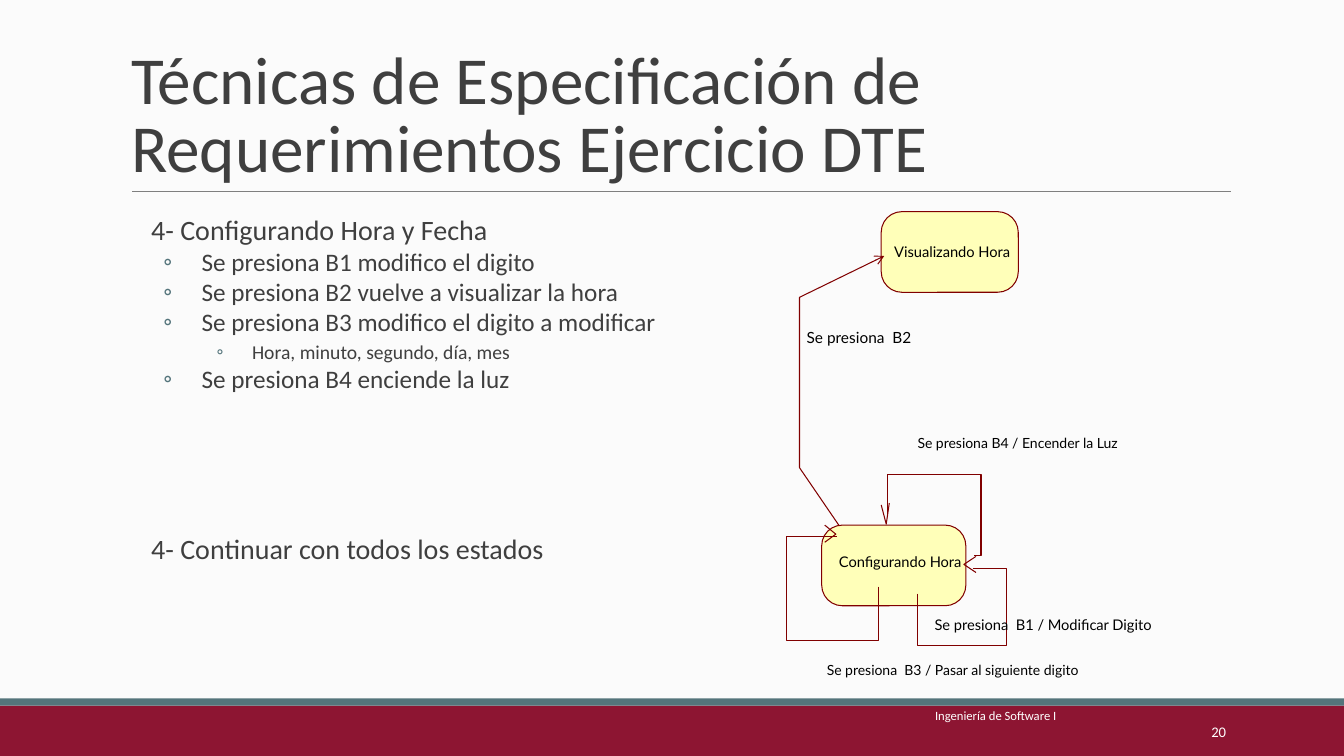
from dataclasses import dataclass

from lxml import etree
from pptx import Presentation
from pptx.dml.color import RGBColor
from pptx.enum.shapes import MSO_SHAPE, MSO_CONNECTOR
from pptx.enum.text import MSO_ANCHOR, MSO_AUTO_SIZE, PP_ALIGN
from pptx.oxml.ns import qn
from pptx.util import Inches, Pt

RECT, ROUNDED = MSO_SHAPE.RECTANGLE, MSO_SHAPE.ROUNDED_RECTANGLE
STRAIGHT = MSO_CONNECTOR.STRAIGHT
TOP, MIDDLE, BOTTOM = MSO_ANCHOR.TOP, MSO_ANCHOR.MIDDLE, MSO_ANCHOR.BOTTOM
LEFT, CENTER, RIGHT = PP_ALIGN.LEFT, PP_ALIGN.CENTER, PP_ALIGN.RIGHT
NO_FIT = MSO_AUTO_SIZE.NONE


@dataclass(frozen=True)
class Theme:
    background: str = "FBFBFB"
    band: str = "8D1532"
    accent: str = "54747B"
    rule: str = "7F7F7F"
    text: str = "3F3F3F"
    light: str = "FFFFFF"
    dark: str = "000000"
    state_fill: str = "FFFFB9"
    state_line: str = "800000"
    font: str = "Calibri"
    diagram_font: str = "Lato"
    title_size: float = 48
    body_sizes: tuple = (20, 18, 14)
    state_size: float = 10.5
    footer_size: float = 9
    number_size: float = 10.5
    line_width: float = 0.75


THEME = Theme()

# Text, level, space before in points
BODY = [
    ("4- Configurando Hora y Fecha", 0, 0),
    ("Se presiona B1 modifico el digito", 1, 2),
    ("Se presiona B2 vuelve a visualizar la hora", 1, 2),
    ("Se presiona B3 modifico el digito a modificar", 1, 2),
    ("Hora, minuto, segundo, día, mes", 2, 4),
    ("Se presiona B4 enciende la luz", 1, 2),
    ("4- Continuar con todos los estados", 0, 101),
]
HANGING = (0, 0.38, 0.35)

# Text, box, left and bottom insets
STATES = [
    ("Configurando Hora", (8.15, 5.21, 1.43, 0.8), (0.13, 0.08)),
    ("Visualizando Hora", (8.74, 2.1, 1.36, 0.8), (0.05, 0)),
]

# Text, box, size
LABELS = [
    ("Se presiona B4 / Encender la Luz", (9.1, 4.31, 2.05, 0.17), 10),
    ("Se presiona  B2", (8, 3.26, 1.11, 0.19), 11),
    ("Se presiona  B1 / Modificar Digito", (9.27, 6.11, 2.17, 0.18), 10.5),
    ("Se presiona  B3 / Pasar al siguiente digito", (8.2, 6.56, 2.58, 0.17), 10),
]

B2_TRANSITION = [(8.32, 5.21), (7.93, 4.64), (7.93, 2.95), (8.77, 2.54)]
LOOPS = [
    [(8.8, 5.12), (8.8, 4.71), (9.73, 4.71), (9.73, 5.51), (9.66, 5.51)],
    [(8.71, 5.82), (8.71, 6.35), (7.8, 6.35), (7.8, 5.32), (8.3, 5.32)],
    [(9.1, 5.89), (9.1, 6.4), (9.98, 6.4), (9.98, 5.64), (9.65, 5.64)],
]
LOOP_HEADS = [
    [(8.74, 5.01), (8.79, 5.2), (8.82, 4.99)],
    [(8.18, 5.38), (8.29, 5.3), (8.18, 5.21)],
    [(9.68, 5.52), (9.56, 5.6), (9.68, 5.68)],
]


def color(value):
    return RGBColor.from_string(value)


def inches(values):
    return [Inches(value) for value in values]


def set_frame(frame, anchor=TOP, insets=(0, 0, 0, 0), wrap=True):
    frame.auto_size = NO_FIT
    frame.word_wrap = wrap
    frame.vertical_anchor = anchor
    (frame.margin_left, frame.margin_top,
     frame.margin_right, frame.margin_bottom) = inches(insets)


def add_run(para, text, size, ink, font=THEME.font):
    span = para.add_run()
    span.text = text
    span.font.size = Pt(size)
    span.font.name = font
    span.font.color.rgb = color(ink)


def set_line(shape, ink):
    shape.line.color.rgb = color(ink)
    shape.line.width = Pt(THEME.line_width)


def add_block(page, kind, box, fill):
    shape = page.shapes.add_shape(kind, *inches(box))
    shape.shadow.inherit = False
    shape.fill.solid()
    shape.fill.fore_color.rgb = color(fill)
    shape.line.fill.background()
    return shape


def add_text(page, text, box, size, ink, font=THEME.font, align=LEFT, **frame_options):
    frame = page.shapes.add_textbox(*inches(box)).text_frame
    set_frame(frame, **frame_options)
    para = frame.paragraphs[0]
    para.alignment = align
    add_run(para, text, size, ink, font)


def add_rule(page, start, end):
    rule = page.shapes.add_connector(STRAIGHT, *inches(start + end))
    set_line(rule, THEME.rule)
    etree.SubElement(rule._element.spPr, qn("a:effectLst"))


def add_path(page, points, arrow=False):
    first, *rest = [inches(point) for point in points]
    builder = page.shapes.build_freeform(*first)
    builder.add_line_segments(rest, close=False)
    path_shape = builder.convert_to_shape()
    path_shape.shadow.inherit = False
    path_shape.fill.background()
    set_line(path_shape, THEME.state_line)
    if arrow:
        etree.SubElement(path_shape.line._get_or_add_ln(), qn("a:tailEnd"), type="arrow")


def add_state(page, text, box, insets):
    state = add_block(page, ROUNDED, box, THEME.state_fill)
    state.adjustments[0] = 0.256
    set_line(state, THEME.state_line)
    left, bottom = insets
    set_frame(state.text_frame, MIDDLE, (left, 0, 0, bottom), wrap=False)
    para = state.text_frame.paragraphs[0]
    para.alignment = CENTER
    add_run(para, text, THEME.state_size, THEME.dark, THEME.diagram_font)


def set_bullet(para, level):
    properties = para._p.get_or_add_pPr()
    properties.set("marL", str(Inches(0.5 * (level + 1))))
    properties.set("indent", str(-Inches(HANGING[level])))
    if level:
        bullet_color = etree.SubElement(properties, qn("a:buClr"))
        etree.SubElement(bullet_color, qn("a:srgbClr"), val=THEME.accent)
        etree.SubElement(properties, qn("a:buFont"), typeface=THEME.font)
        etree.SubElement(properties, qn("a:buChar"), char="◦")


def add_title(page, text):
    title = page.shapes.title
    title.left, title.top, title.width, title.height = inches((1.2, 0.31, 11, 1.59))
    set_frame(title.text_frame, BOTTOM, (0.1, 0.05, 0.1, 0.05))
    para = title.text_frame.paragraphs[0]
    para.alignment = LEFT
    para.line_spacing = 0.85
    add_run(para, text, THEME.title_size, THEME.text)


def add_body(page):
    frame = page.shapes.add_textbox(*inches((1, 2.1, 6.2, 4.65))).text_frame
    set_frame(frame, insets=(0, 0.05, 0, 0.05))
    for index, (text, level, space) in enumerate(BODY):
        para = frame.add_paragraph() if index else frame.paragraphs[0]
        para.level = level
        para.line_spacing = 0.9
        para.space_before = Pt(space)
        set_bullet(para, level)
        add_run(para, text, THEME.body_sizes[level], THEME.text)


def main():
    deck = Presentation()
    deck.slide_width, deck.slide_height = inches((13.33, 7.5))
    page = deck.slides.add_slide(deck.slide_layouts.get_by_name("Title Only"))
    page.background.fill.solid()
    page.background.fill.fore_color.rgb = color(THEME.background)

    # Bands, title and body
    add_block(page, RECT, (0, 7, 13.33, 0.5), THEME.band)
    add_block(page, RECT, (0, 6.93, 13.33, 0.07), THEME.accent)
    add_rule(page, (1.31, 1.9), (12.21, 1.9))
    add_title(page, "Técnicas de Especificación de Requerimientos Ejercicio DTE")
    add_body(page)

    # Footer
    add_text(page, "Ingeniería de Software I", (7.3, 6.9, 5.15, 0.4),
             THEME.footer_size, THEME.light, align=CENTER, anchor=MIDDLE)
    add_text(page, "20", (10.83, 7.06, 1.43, 0.4), THEME.number_size, THEME.light,
             align=RIGHT, anchor=MIDDLE, insets=(0.1, 0.05, 0.1, 0.05))

    # State diagram
    for text, box, insets in STATES:
        add_state(page, text, box, insets)
    add_path(page, B2_TRANSITION, arrow=True)
    for points in LOOPS + LOOP_HEADS:
        add_path(page, points)
    for text, box, size in LABELS:
        add_text(page, text, box, size, THEME.dark, THEME.diagram_font, wrap=False)

    deck.save("out.pptx")


if __name__ == "__main__":
    main()
